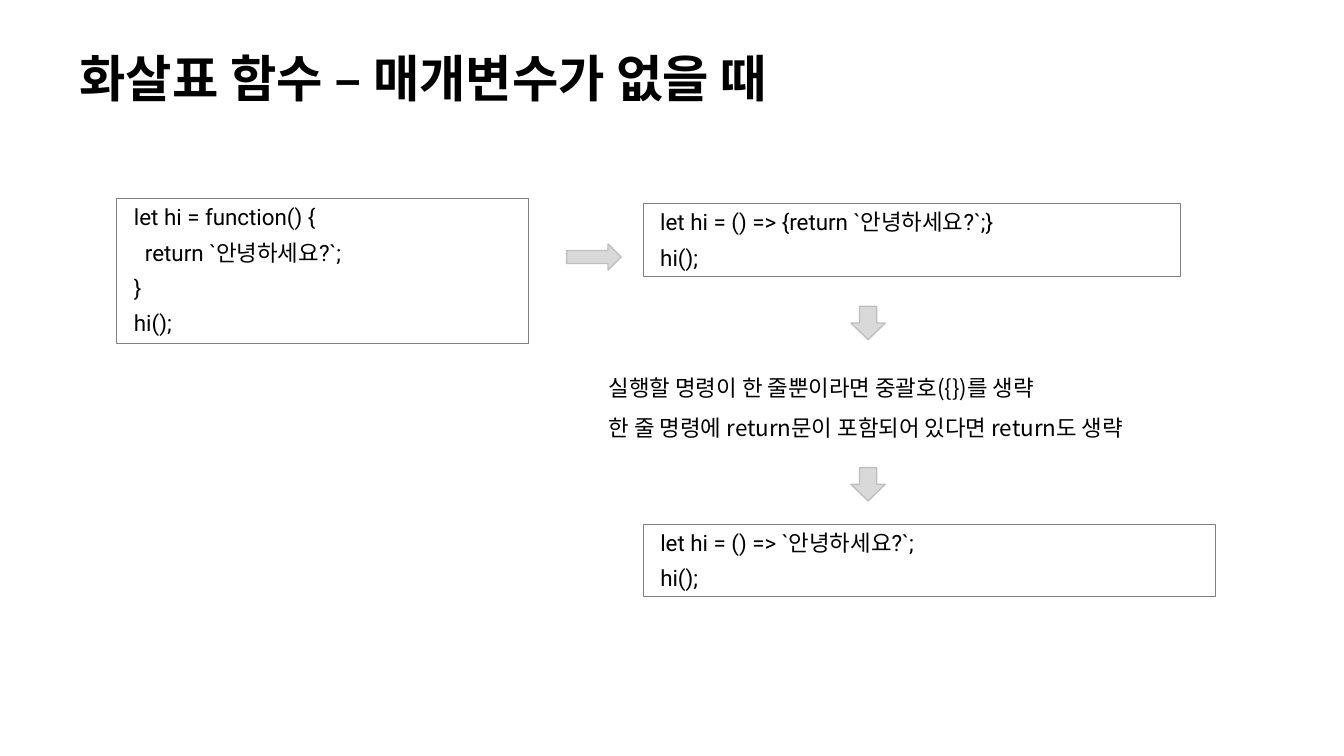
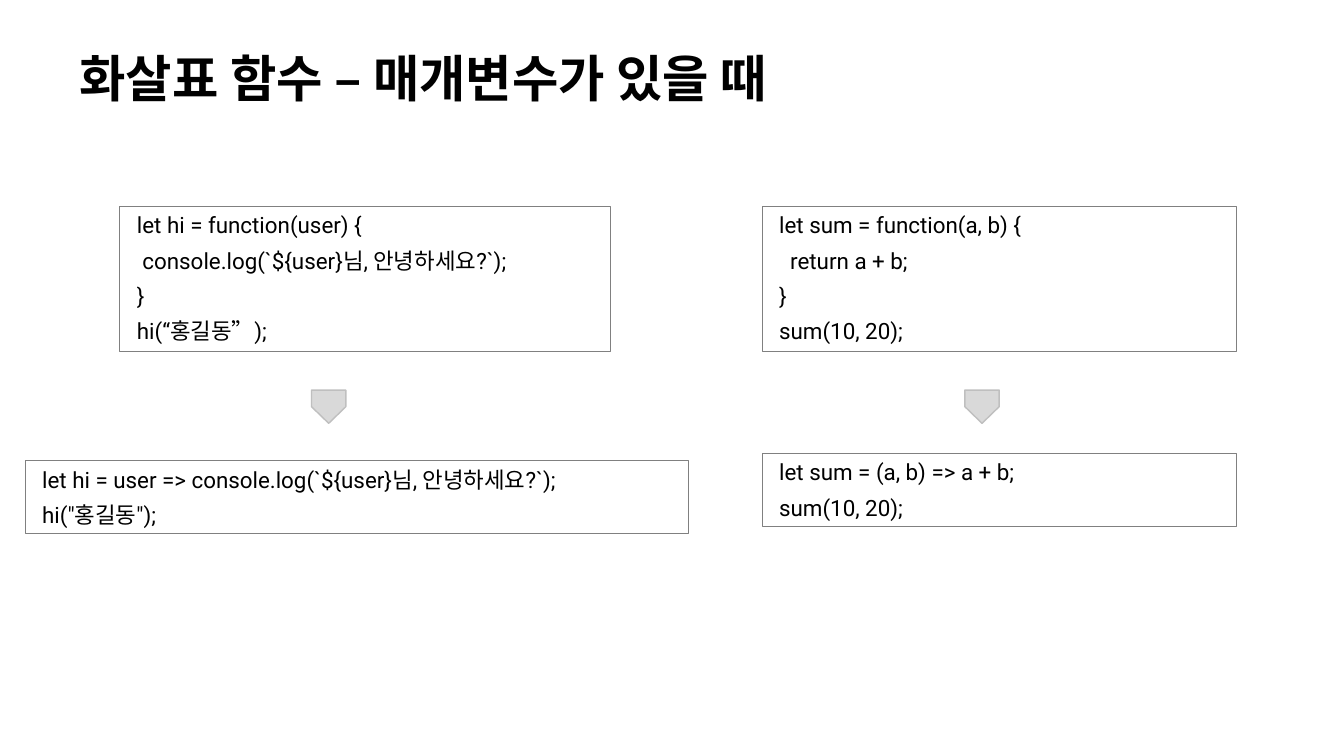
import pptx
import pptx.dml.color
import pptx.enum.shapes
import pptx.enum.text
import pptx.util
from lxml import etree
from pptx.oxml.ns import qn
from pptx.util import Inches

SHAPES = pptx.enum.shapes.MSO_SHAPE
ANCHORS = pptx.enum.text.MSO_ANCHOR


def color(value):
    return pptx.dml.color.RGBColor.from_string(value)


class Deck:
    """Hold the shared style and the slide being built."""

    HANGUL = "Noto Sans CJK KR"
    CODE = "Roboto"
    INK = "000000"
    BORDER = "808080"
    ARROW_FILL = "D9D9D9"
    ARROW_LINE = "BFBFBF"
    LINE_HEIGHT = 0.36

    def __init__(self):
        self.prs = pptx.Presentation()
        self.prs.slide_width = Inches(13.33)
        self.prs.slide_height = Inches(7.5)
        self.slide = None

    def add_slide(self, title):
        self.slide = self.prs.slides.add_slide(self.prs.slide_layouts[6])
        self.text(0.69, 0.35, 9.74, 0.92, [title], 36, 0.9, bold=True, anchor=ANCHORS.MIDDLE)

    def style(self, paragraph, face, size, bold=False):
        font = paragraph.font
        font.name = face
        font.size = pptx.util.Pt(size)
        font.bold = bold
        font.color.rgb = color(self.INK)
        latin = paragraph._p.pPr.find(qn("a:defRPr")).find(qn("a:latin"))
        east_asian = etree.Element(qn("a:ea"), typeface=self.HANGUL)
        latin.addnext(east_asian)

    def fill_lines(self, frame, lines):
        frame.word_wrap = True
        frame.text = "\n".join(lines)
        return frame.paragraphs

    def text(self, left, top, width, height, lines, size, spacing, bold=False, anchor=ANCHORS.TOP):
        box = self.slide.shapes.add_textbox(Inches(left), Inches(top), Inches(width), Inches(height))
        box.text_frame.vertical_anchor = anchor
        for paragraph in self.fill_lines(box.text_frame, lines):
            paragraph.line_spacing = spacing
            self.style(paragraph, self.HANGUL, size, bold)

    def shape(self, preset, left, top, width, height, line, weight):
        shape = self.slide.shapes.add_shape(
            preset, Inches(left), Inches(top), Inches(width), Inches(height))
        shape.shadow.inherit = False
        shape.line.color.rgb = color(line)
        shape.line.width = pptx.util.Pt(weight)
        return shape

    def code(self, left, top, width, lines):
        height = self.LINE_HEIGHT * len(lines)
        box = self.shape(SHAPES.RECTANGLE, left, top, width, height, self.BORDER, 0.75)
        box.fill.background()
        box.text_frame.vertical_anchor = ANCHORS.TOP
        for number, paragraph in enumerate(self.fill_lines(box.text_frame, lines)):
            paragraph.alignment = pptx.enum.text.PP_ALIGN.LEFT
            paragraph.space_before = pptx.util.Pt(3 if number else 0)
            paragraph.space_after = pptx.util.Pt(3)
            paragraph._p.get_or_add_pPr().set("marL", str(Inches(0.07)))
            self.style(paragraph, self.CODE, 16)

    def arrow(self, preset, left, top, width=0.34, height=0.33, adjustments=(0.5, 0.5)):
        arrow = self.shape(preset, left, top, width, height, self.ARROW_LINE, 1)
        arrow.fill.solid()
        arrow.fill.fore_color.rgb = color(self.ARROW_FILL)
        for index, value in enumerate(adjustments):
            arrow.adjustments[index] = value


def without_parameters(deck):
    deck.add_slide("화살표 함수 – 매개변수가 없을 때")
    deck.code(1.16, 1.97, 4.08, ["let hi = function() {", "  return `안녕하세요?`;", "}", "hi();"])
    deck.code(6.38, 2.02, 5.33, ["let hi = () => {return `안녕하세요?`;}", "hi();"])
    deck.code(6.38, 5.2, 5.68, ["let hi = () => `안녕하세요?`;", "hi();"])
    deck.text(5.94, 3.53, 6.67, 0.86, [
        "실행할 명령이 한 줄뿐이라면 중괄호({})를 생략",
        "한 줄 명령에 return문이 포함되어 있다면 return도 생략",
    ], 16, 1.5)
    deck.arrow(SHAPES.RIGHT_ARROW, 5.62, 2.42, 0.54, 0.26)
    for top in (3.04, 4.64):
        deck.arrow(SHAPES.DOWN_ARROW, 8.44, top)


def with_parameters(deck):
    deck.add_slide("화살표 함수 – 매개변수가 있을 때")
    deck.code(1.19, 2.05, 4.87, [
        "let hi = function(user) {",
        " console.log(`${user}님, 안녕하세요?`);",
        "}",
        "hi(“홍길동”);",
    ])
    deck.code(0.25, 4.57, 6.58, [
        "let hi = user => console.log(`${user}님, 안녕하세요?`);",
        'hi("홍길동");',
    ])
    deck.code(7.56, 2.05, 4.7, ["let sum = function(a, b) {", "  return a + b;", "}", "sum(10, 20);"])
    deck.code(7.56, 4.5, 4.7, ["let sum = (a, b) => a + b;", "sum(10, 20);"])
    for left in (3.09, 9.57):
        deck.arrow(SHAPES.DOWN_ARROW, left, 3.87, adjustments=(1, 0.5))


def main():
    deck = Deck()
    without_parameters(deck)
    with_parameters(deck)
    deck.prs.save("out.pptx")


if __name__ == "__main__":
    main()
